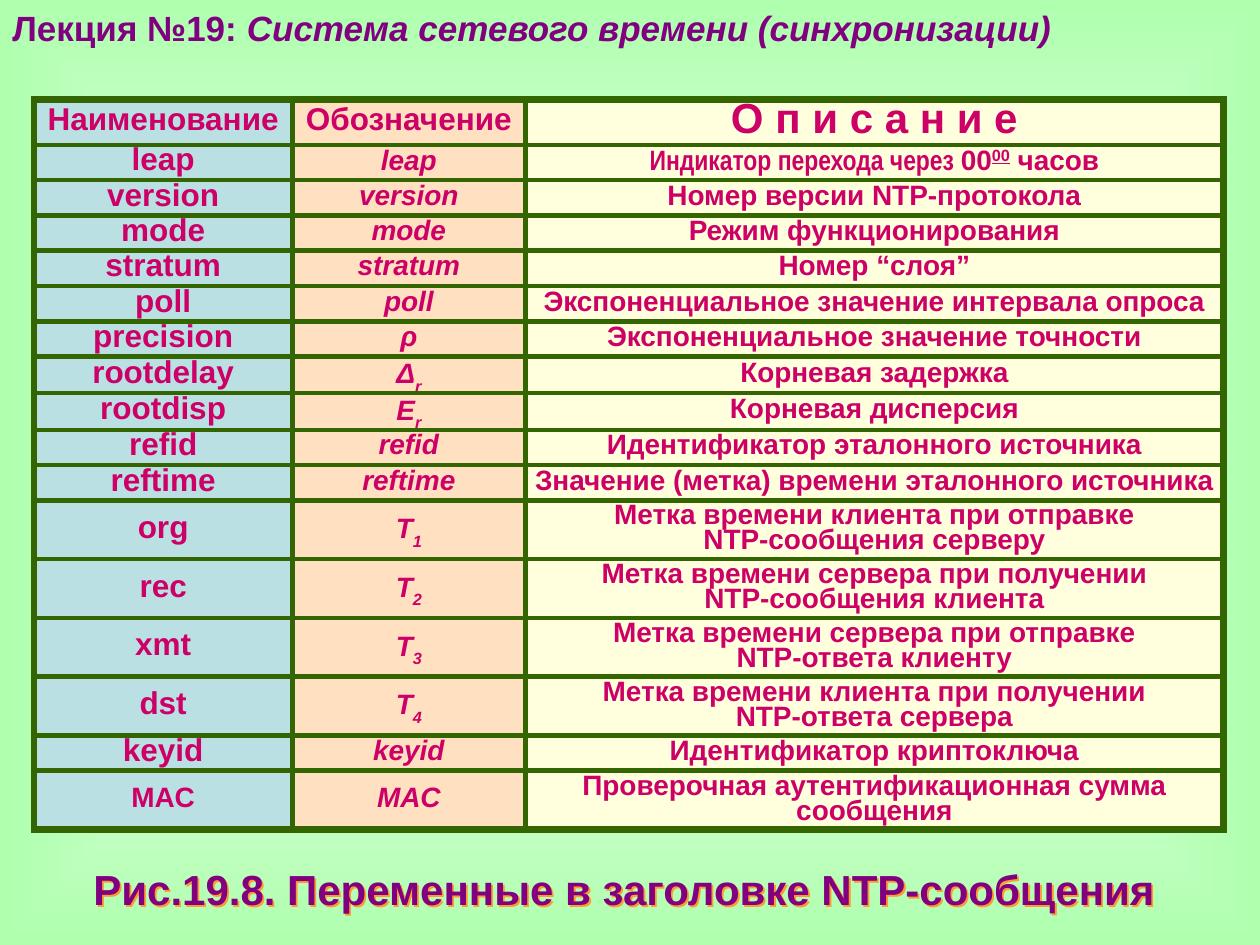
import pptx
import pptx.util
import pptx.dml.color
import pptx.enum.text
import pptx.oxml
import pptx.oxml.ns
from lxml import etree

Inches = pptx.util.Inches
Pt = pptx.util.Pt
ALIGN = pptx.enum.text.PP_ALIGN
ANCHOR = pptx.enum.text.MSO_ANCHOR

PURPLE, CRIMSON, GREEN, ORANGE = "800080", "CC0066", "336600", "FF9933"
COLUMN_FILLS = ("BBE0E3", "FFE0C1", "FFFFDD")
COLUMN_WIDTHS = (2.05, 1.85, 5.54)
ROW_HEIGHT = 0.27
HEADINGS = ("Наименование", "Обозначение", "О п и с а н и е")
VARIABLES = [
    ("leap", "leap", None, [[("Индикатор перехода через ", {"font": "Arial Narrow"}), ("00", {}),
                             ("00", {"underline": True, "baseline": 30}), (" часов", {})]]),
    ("version", "version", None, "Номер версии NTP-протокола"),
    ("mode", "mode", None, "Режим функционирования"),
    ("stratum", "stratum", None, "Номер “слоя”"),
    ("poll", "poll", None, "Экспоненциальное значение интервала опроса"),
    ("precision", "ρ", None, "Экспоненциальное значение точности"),
    ("rootdelay", "Δ", "r", "Корневая задержка"),
    ("rootdisp", "Ε", "r", "Корневая дисперсия"),
    ("refid", "refid", None, "Идентификатор эталонного источника"),
    ("reftime", "reftime", None, "Значение (метка) времени эталонного источника"),
    ("org", "T", "1", "Метка времени клиента при отправке\nNTP-сообщения серверу"),
    ("rec", "T", "2", "Метка времени сервера при получении\nNTP-сообщения клиента"),
    ("xmt", "T", "3", "Метка времени сервера при отправке\nNTP-ответа клиенту"),
    ("dst", "T", "4", "Метка времени клиента при получении\nNTP-ответа сервера"),
    ("keyid", "keyid", None, "Идентификатор криптоключа"),
    ("MAC", "MAC", None, "Проверочная аутентификационная сумма сообщения"),
]


def rgb(color):
    return pptx.dml.color.RGBColor.from_string(color)


def sub(parent, tag, **attrs):
    return etree.SubElement(parent, pptx.oxml.ns.qn(tag), {k: str(v) for k, v in attrs.items()})


def add_run(p, text, size, color, italic=False, font="Arial", underline=False, baseline=0):
    r = p.add_run()
    r.text = text
    r.font.size = Pt(size)
    r.font.name = font
    r.font.bold = True
    r.font.italic = italic
    r.font.color.rgb = rgb(color)
    if underline:
        r.font.underline = True
    if baseline:
        r.font._element.set("baseline", str(baseline * 1000))


def paint_background(s):
    fill = s.background.fill
    fill.gradient()
    for stop, color in zip(fill.gradient_stops, ("FFFFFF", "AFFFAF")):
        stop.color.rgb = rgb(color)
    grad = s.background._cSld.find(".//" + pptx.oxml.ns.qn("a:gradFill"))
    for stop, position in zip(grad[0], (0, 100000)):
        stop.set("pos", str(position))
    grad.remove(grad.find(pptx.oxml.ns.qn("a:lin")))
    path = sub(grad, "a:path")
    path.set("path", "shape")
    sub(path, "a:fillToRect", l=50000, t=50000, r=50000, b=50000)


def add_text_box(s, box):
    sp = s.shapes.add_textbox(*map(Inches, box))
    sp.text_frame.word_wrap = True
    return sp


def add_title(s, box):
    p = add_text_box(s, box).text_frame.paragraphs[0]
    add_run(p, "Лекция №19: ", 20, PURPLE)
    add_run(p, "Система сетевого времени (синхронизации)", 20, PURPLE, italic=True)


def add_caption(s, box):
    sp = add_text_box(s, box)
    tf = sp.text_frame
    tf.margin_left = tf.margin_right = tf.margin_top = tf.margin_bottom = 0
    tf.vertical_anchor = ANCHOR.MIDDLE
    p = tf.paragraphs[0]
    p.alignment = ALIGN.CENTER
    p.line_spacing = 0.9
    add_run(p, "Рис.19.8. Переменные в заголовке NTP-сообщения ", 24, PURPLE)
    effects = sub(sp._element.spPr, "a:effectLst")
    shadow = sub(effects, "a:outerShdw", dist=Inches(0.02), dir=2700000, algn="ctr", rotWithShape=0)
    sub(shadow, "a:srgbClr", val=ORANGE)


def border_cell(cell, outer_sides):
    tcPr = cell._tc.get_or_add_tcPr()
    for side in "LRTB":
        width = 4.5 if side in outer_sides else 3
        line = sub(tcPr, "a:ln" + side, w=Pt(width))
        sub(sub(line, "a:solidFill"), "a:srgbClr", val=GREEN)


def fill_cell(cell, paragraphs, size, fill, italic=False):
    cell.fill.solid()
    cell.fill.fore_color.rgb = rgb(fill)
    cell.margin_left = cell.margin_right = cell.margin_top = cell.margin_bottom = Inches(0.02)
    cell.vertical_anchor = ANCHOR.MIDDLE
    tf = cell.text_frame
    for i, runs in enumerate(paragraphs):
        p = tf.paragraphs[0] if i == 0 else tf.add_paragraph()
        p.alignment = ALIGN.CENTER
        p.line_spacing = 0.8
        for text, options in runs:
            add_run(p, text, size, CRIMSON, italic, **options)


def plain(text):
    return [[(line, {})] for line in text.split("\n")]


def table_rows():
    yield [(plain(text), size) for text, size in zip(HEADINGS, (18, 18, 24))]
    for name, symbol, index, description in VARIABLES:
        symbol_runs = [(symbol, {})] + ([(index, {"baseline": -30})] if index else [])
        details = plain(description) if isinstance(description, str) else description
        yield [(plain(name), 16 if name == "MAC" else 18), ([symbol_runs], 16), (details, 16)]


def add_variables_table(s, box):
    rows = list(table_rows())
    last_row, last_col = len(rows) - 1, len(COLUMN_WIDTHS) - 1
    frame = s.shapes.add_table(len(rows), len(COLUMN_WIDTHS), *map(Inches, box))
    table = frame.table
    table.first_row = table.horz_banding = False
    for column, width in zip(table.columns, COLUMN_WIDTHS):
        column.width = Inches(width)
    for i, row in enumerate(rows):
        table.rows[i].height = Inches(ROW_HEIGHT)
        for j, (paragraphs, size) in enumerate(row):
            edges = (("L", j == 0), ("R", j == last_col), ("T", i == 0), ("B", i == last_row))
            cell = table.cell(i, j)
            border_cell(cell, [side for side, outer in edges if outer])
            fill_cell(cell, paragraphs, size, COLUMN_FILLS[j], italic=i > 0 and j == 1)
    frame.height = Inches(box[3])


def main():
    prs = pptx.Presentation()
    prs.slide_width, prs.slide_height = Inches(10), Inches(7.5)
    s = prs.slides.add_slide(prs.slide_layouts[6])
    paint_background(s)
    add_title(s, (0, 0, 10, 0.43))
    add_variables_table(s, (0.27, 0.79, 9.44, 5.74))
    add_caption(s, (0, 6.9, 10, 0.36))
    prs.save("out.pptx")


if __name__ == "__main__":
    main()
